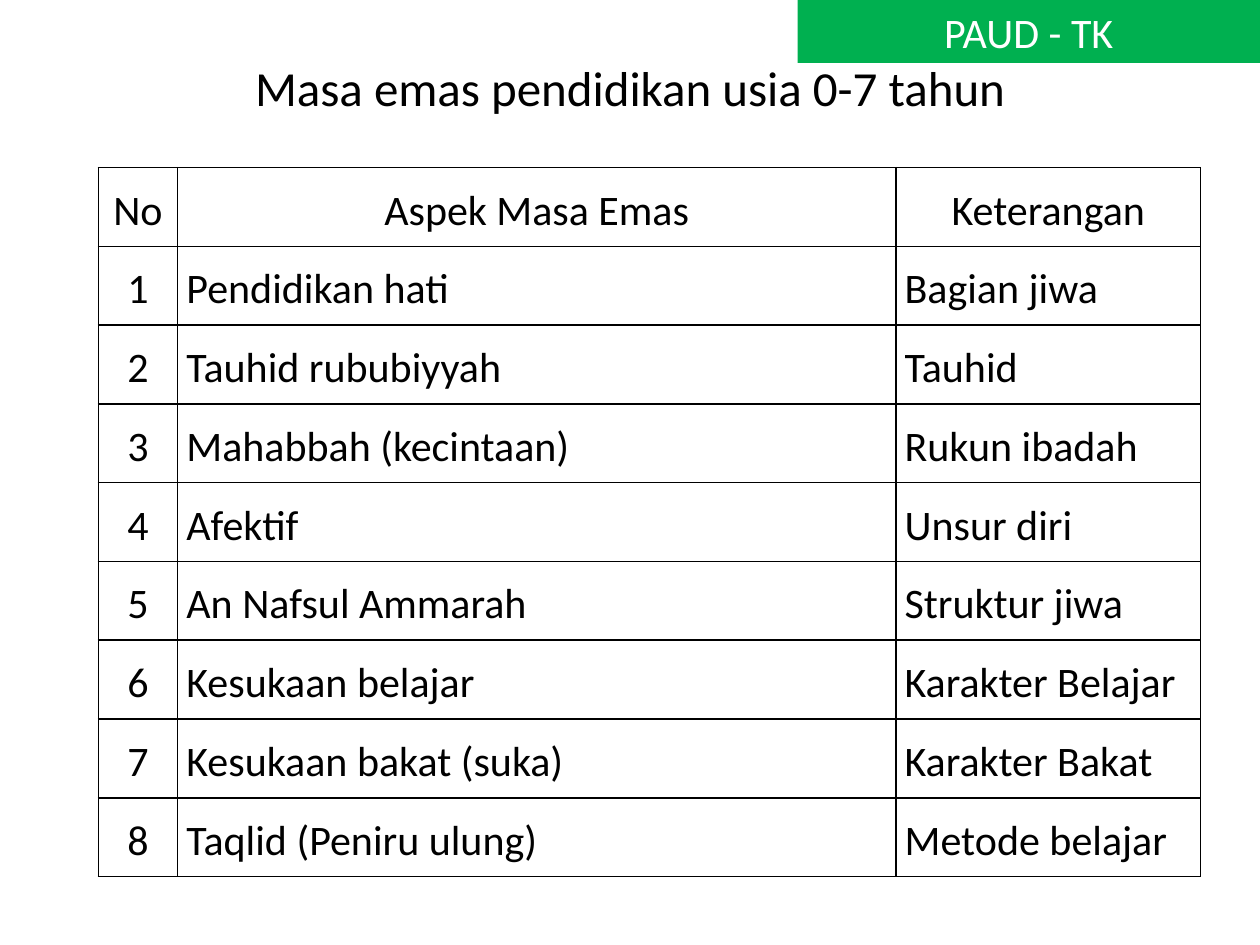
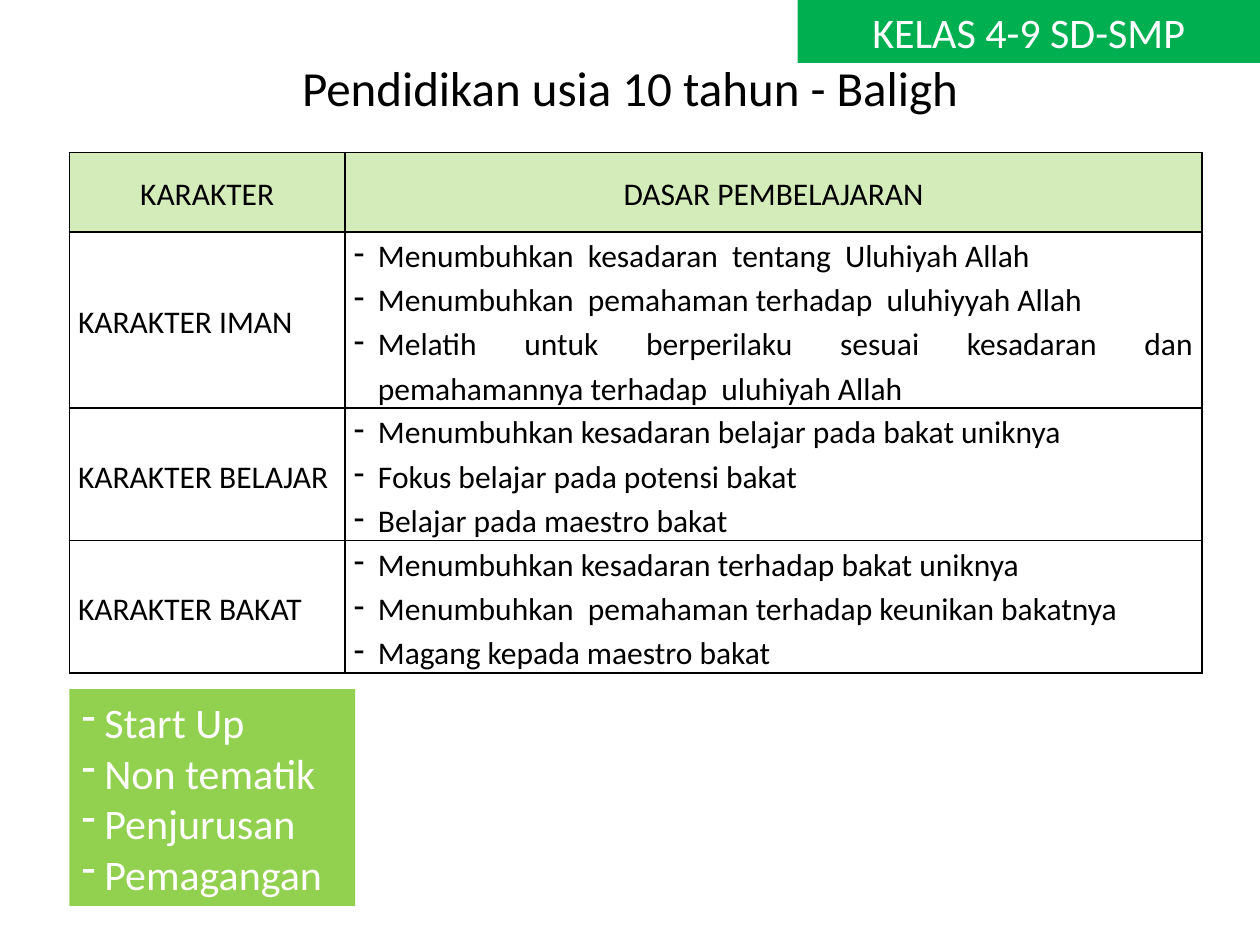
from lxml import etree
from pptx import Presentation
from pptx.dml.color import RGBColor
from pptx.enum import shapes, text
from pptx.oxml import ns
from pptx.util import Inches, Pt

# Content
ASPECTS = [
    ("No", "Aspek Masa Emas", "Keterangan"),
    ("1", "Pendidikan hati", "Bagian jiwa"),
    ("2", "Tauhid rububiyyah", "Tauhid"),
    ("3", "Mahabbah (kecintaan)", "Rukun ibadah"),
    ("4", "Afektif", "Unsur diri"),
    ("5", "An Nafsul Ammarah", "Struktur jiwa"),
    ("6", "Kesukaan belajar", "Karakter Belajar"),
    ("7", "Kesukaan bakat (suka)", "Karakter Bakat"),
    ("8", "Taqlid (Peniru ulung)", "Metode belajar"),
]
TRAITS = [
    ("KARAKTER", "DASAR PEMBELAJARAN"),
    ("KARAKTER IMAN", [
        "Menumbuhkan  kesadaran  tentang  Uluhiyah Allah",
        "Menumbuhkan  pemahaman terhadap  uluhiyyah Allah",
        "Melatih untuk berperilaku sesuai kesadaran dan "
        "pemahamannya terhadap  uluhiyah Allah"]),
    ("KARAKTER BELAJAR", [
        "Menumbuhkan kesadaran belajar pada bakat uniknya",
        "Fokus belajar pada potensi bakat",
        "Belajar pada maestro bakat"]),
    ("KARAKTER BAKAT", [
        "Menumbuhkan kesadaran terhadap bakat uniknya",
        "Menumbuhkan  pemahaman terhadap keunikan bakatnya",
        "Magang kepada maestro bakat"]),
]
STEPS = ["Start Up", "Non tematik", "Penjurusan", "Pemagangan"]

# Shared look
FONT = "Calibri"
BLACK, WHITE = "000000", "FFFFFF"
GREEN, LIME, PALE = "00B050", "92D050", "D3ECB9"
LEFT, MID, FULL = (text.PP_ALIGN.LEFT, text.PP_ALIGN.CENTER,
                   text.PP_ALIGN.JUSTIFY)


def color(code):
    return RGBColor.from_string(code)


def dash(para, indent):
    props = para._p.get_or_add_pPr()
    props.set("marL", str(Inches(indent)))
    props.set("indent", str(-Inches(indent)))
    etree.SubElement(props, ns.qn("a:buChar")).set("char", "-")


def write(frame, lines, size, ink, align, indent=0, space=None):
    """Fill a text frame; an indent turns its lines into dashed items."""
    frame.text = "\n".join(lines)
    frame.word_wrap = True
    frame.vertical_anchor = text.MSO_ANCHOR.MIDDLE
    for para in frame.paragraphs:
        if indent:
            dash(para, indent)
        para.alignment = align
        if space:
            para.line_spacing = space
        for run in para.runs:
            run.font.name, run.font.size = FONT, Pt(size)
            run.font.bold = False
            run.font.color.rgb = color(ink)


def block(slide, box, fill, lines, align, indent=0):
    shape = slide.shapes.add_shape(shapes.MSO_SHAPE.RECTANGLE,
                                   *map(Inches, box))
    shape.shadow.inherit = False
    shape.fill.solid()
    shape.fill.fore_color.rgb = color(fill)
    shape.line.fill.background()
    write(shape.text_frame, lines, 24, WHITE, align, indent)


def border(cell):
    props = cell._tc.get_or_add_tcPr()
    for side in ("lnL", "lnR", "lnT", "lnB"):
        line = etree.SubElement(props, ns.qn("a:" + side), w=str(Pt(1)))
        fill = etree.SubElement(line, ns.qn("a:solidFill"))
        etree.SubElement(fill, ns.qn("a:srgbClr"), val=BLACK)


def grid(slide, left, top, rows, widths, heights, size, first, head=None):
    """Draw a ruled table; first is the alignment of the first column."""
    frame = slide.shapes.add_table(
        len(rows), len(widths), Inches(left), Inches(top),
        Inches(sum(widths)), Inches(sum(heights)))
    table = frame.table
    table.first_row = table.horz_banding = False
    for col, width in zip(table.columns, widths):
        col.width = Inches(width)
    for r, row in enumerate(rows):
        table.rows[r].height = Inches(heights[r])
        for c, item in enumerate(row):
            cell = table.cell(r, c)
            border(cell)
            if r == 0 and head:
                cell.fill.solid()
                cell.fill.fore_color.rgb = color(head)
            else:
                cell.fill.background()
            cell.margin_left = cell.margin_right = Inches(0.07)
            cell.margin_top = cell.margin_bottom = 0
            cell.vertical_anchor = text.MSO_ANCHOR.MIDDLE
            align = MID if r == 0 else first if c == 0 else FULL
            many = isinstance(item, list)
            write(cell.text_frame, item if many else [item], size, BLACK,
                  align, 0.19 if many else 0, 1.15)


def page(deck, title, level):
    """Add a slide with its title and the school level in the corner."""
    slide = deck.slides.add_slide(deck.slide_layouts[6])
    box = slide.shapes.add_textbox(*map(Inches, (0.5, 0.44, 9, 0.5)))
    write(box.text_frame, [title], 28, BLACK, MID)
    block(slide, (6.33, 0, 3.67, 0.5), GREEN, [level], MID)
    return slide


def main():
    deck = Presentation()
    deck.slide_width, deck.slide_height = Inches(10), Inches(7.5)

    # Golden age
    slide = page(deck, "Masa emas pendidikan usia 0-7 tahun", "PAUD - TK")
    grid(slide, 0.78, 1.33, ASPECTS, (0.63, 5.7, 2.42),
         [5.63 / len(ASPECTS)] * len(ASPECTS), 24, MID)

    # Age ten and up
    slide = page(deck, "Pendidikan usia 10 tahun - Baligh",
                 "KELAS 4-9 SD-SMP")
    grid(slide, 0.55, 1.21, TRAITS, (2.19, 6.8), (0.63, 1.4, 1.05, 1.05),
         18, LEFT, PALE)
    block(slide, (0.55, 5.47, 2.27, 1.72), LIME, STEPS, LEFT, 0.18)

    deck.save("out.pptx")


if __name__ == "__main__":
    main()
